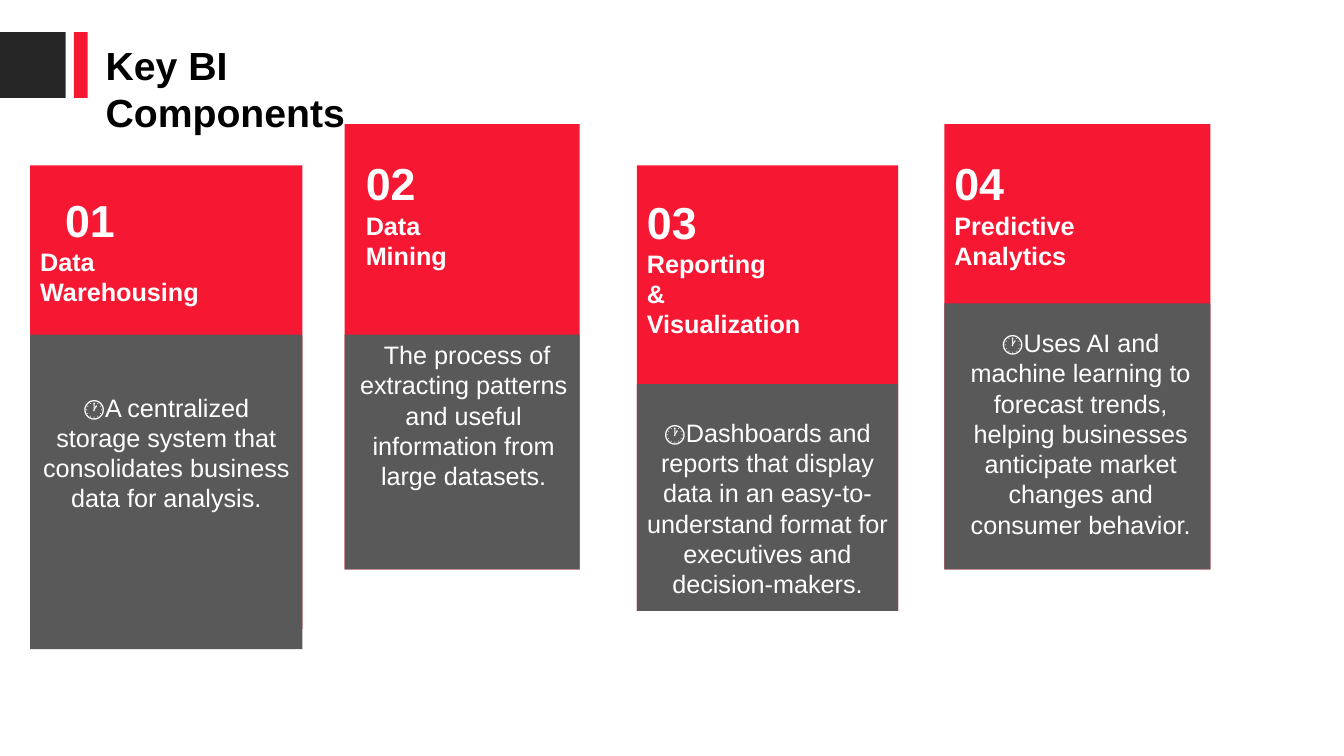
from dataclasses import dataclass

from pptx import Presentation
from pptx.dml.color import RGBColor
from pptx.enum.shapes import MSO_SHAPE
from pptx.enum.text import MSO_ANCHOR, PP_ALIGN
from pptx.util import Pt


@dataclass(frozen=True)
class Theme:
    font: str = "Arial"
    red: str = "F61833"
    gray: str = "595959"
    dark: str = "262626"
    black: str = "000000"
    white: str = "FFFFFF"
    title_size: int = 28
    number_size: int = 32
    body_size: int = 18


@dataclass(frozen=True)
class Card:
    heading: tuple
    description: str
    left: float
    width: float
    top: float
    red_height: float
    split: float
    bottom: float
    heading_area: tuple
    body_area: tuple
    number_indent: float = 0
    body_indent: float = 0


CARDS = [
    Card(("01", "Data", "Warehousing"),
         "🕐A centralized storage system that consolidates business data for analysis.",
         21.6, 194.4, 118.1, 331.2, 239, 463.7,
         (21.6, 133.9, 193.7, 104.4), (21.6, 276.5, 194.4, 130.3), number_indent=17.8),
    Card(("02", "Data", "Mining"),
         "The process of extracting patterns and useful information from large datasets.",
         246.2, 167.8, 88.6, 318.2, 239, 406.8,
         (254.2, 108, 76.3, 89.3), (248.4, 239, 165.6, 168.5), body_indent=5),
    Card(("03", "Reporting", "&", "Visualization"),
         "🕐Dashboards and reports that display data in an easy-to-understand format "
         "for executives and decision-makers.",
         455, 186.5, 118.1, 318.2, 274.3, 436.3,
         (455, 135.4, 146.9, 111.6), (455, 294.5, 186.5, 141.8)),
    Card(("04", "Predictive", "Analytics"),
         "🕐Uses AI and machine learning to forecast trends, helping businesses "
         "anticipate market changes and consumer behavior.",
         674.6, 190.1, 88.6, 318.2, 216.7, 406.8,
         (674.6, 108, 141.1, 89.3), (682.6, 230.4, 178.6, 169.9)),
]


def write_text(paragraph, text, *, font, size, color, bold=False,
               align=PP_ALIGN.LEFT, indent=0):
    paragraph.alignment = align
    if indent:
        paragraph._p.get_or_add_pPr().set("indent", str(Pt(indent)))
    run = paragraph.add_run()
    run.text = text
    run.font.name = font
    run.font.size = Pt(size)
    run.font.bold = bold
    run.font.color.rgb = RGBColor.from_string(color)


class SlideBuilder:
    def __init__(self, slide, theme):
        self.slide = slide
        self.theme = theme

    def rectangle(self, left, top, width, height, color):
        shape = self.slide.shapes.add_shape(
            MSO_SHAPE.RECTANGLE, Pt(left), Pt(top), Pt(width), Pt(height))
        shape.shadow.inherit = False
        shape.fill.solid()
        shape.fill.fore_color.rgb = RGBColor.from_string(color)
        shape.line.fill.background()

    def text_box(self, area, lines):
        shape = self.slide.shapes.add_textbox(*(Pt(length) for length in area))
        frame = shape.text_frame
        frame.word_wrap = True
        frame.vertical_anchor = MSO_ANCHOR.TOP
        for index, (text, style) in enumerate(lines):
            paragraph = frame.add_paragraph() if index else frame.paragraphs[0]
            write_text(paragraph, text, font=self.theme.font, **style)

    def title(self, text):
        theme = self.theme
        self.rectangle(0, 23, 47, 47, theme.dark)
        self.rectangle(52.7, 23, 10, 47, theme.red)
        style = dict(size=theme.title_size, color=theme.black, bold=True)
        self.text_box((68.4, 26, 214.6, 75), [(text, style)])

    def card(self, card):
        theme = self.theme
        number, *names = card.heading
        label = dict(size=theme.body_size, color=theme.white, bold=True)
        number_style = dict(label, size=theme.number_size, indent=card.number_indent)
        body_style = dict(label, bold=False, align=PP_ALIGN.CENTER, indent=card.body_indent)
        self.rectangle(card.left, card.top, card.width, card.red_height, theme.red)
        self.text_box(card.heading_area,
                      [(number, number_style)] + [(name, label) for name in names])
        self.rectangle(card.left, card.split, card.width, card.bottom - card.split, theme.gray)
        self.text_box(card.body_area, [(card.description, body_style)])


def main():
    presentation = Presentation()
    presentation.slide_width = Pt(960)
    presentation.slide_height = Pt(540)
    slide = presentation.slides.add_slide(presentation.slide_layouts[6])
    builder = SlideBuilder(slide, Theme())
    builder.title("Key BI Components")
    for card in CARDS:
        builder.card(card)
    presentation.save("out.pptx")


if __name__ == "__main__":
    main()
